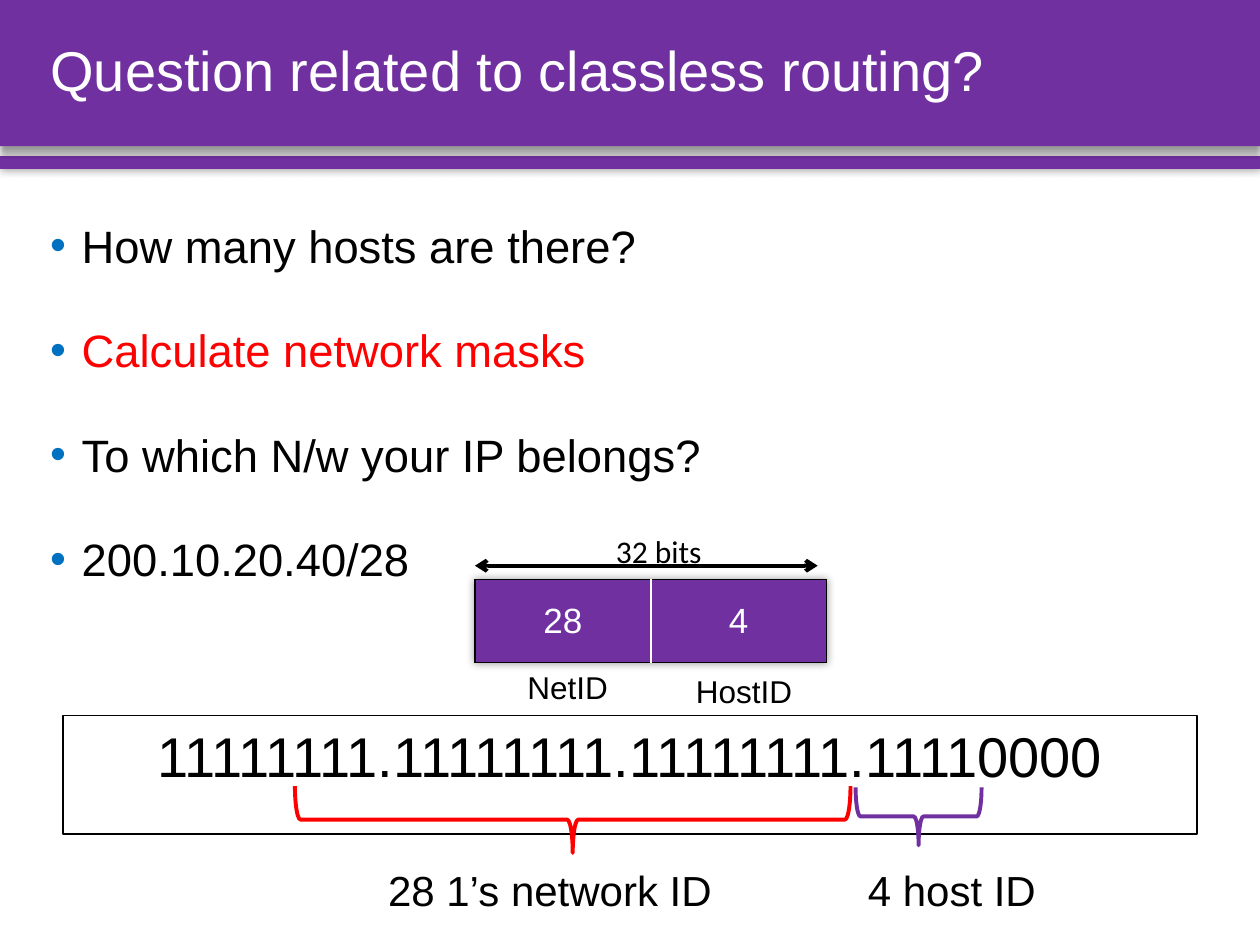
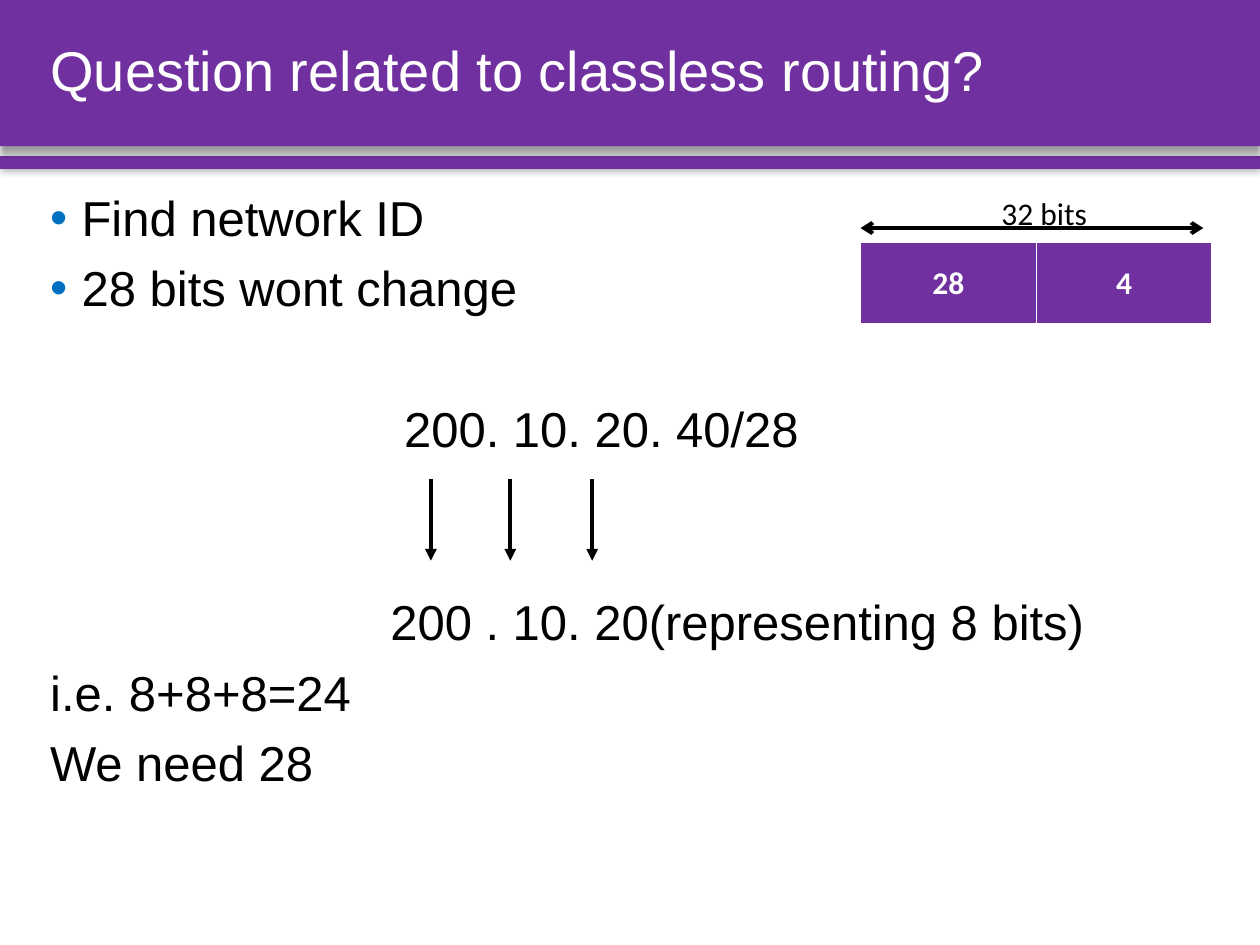
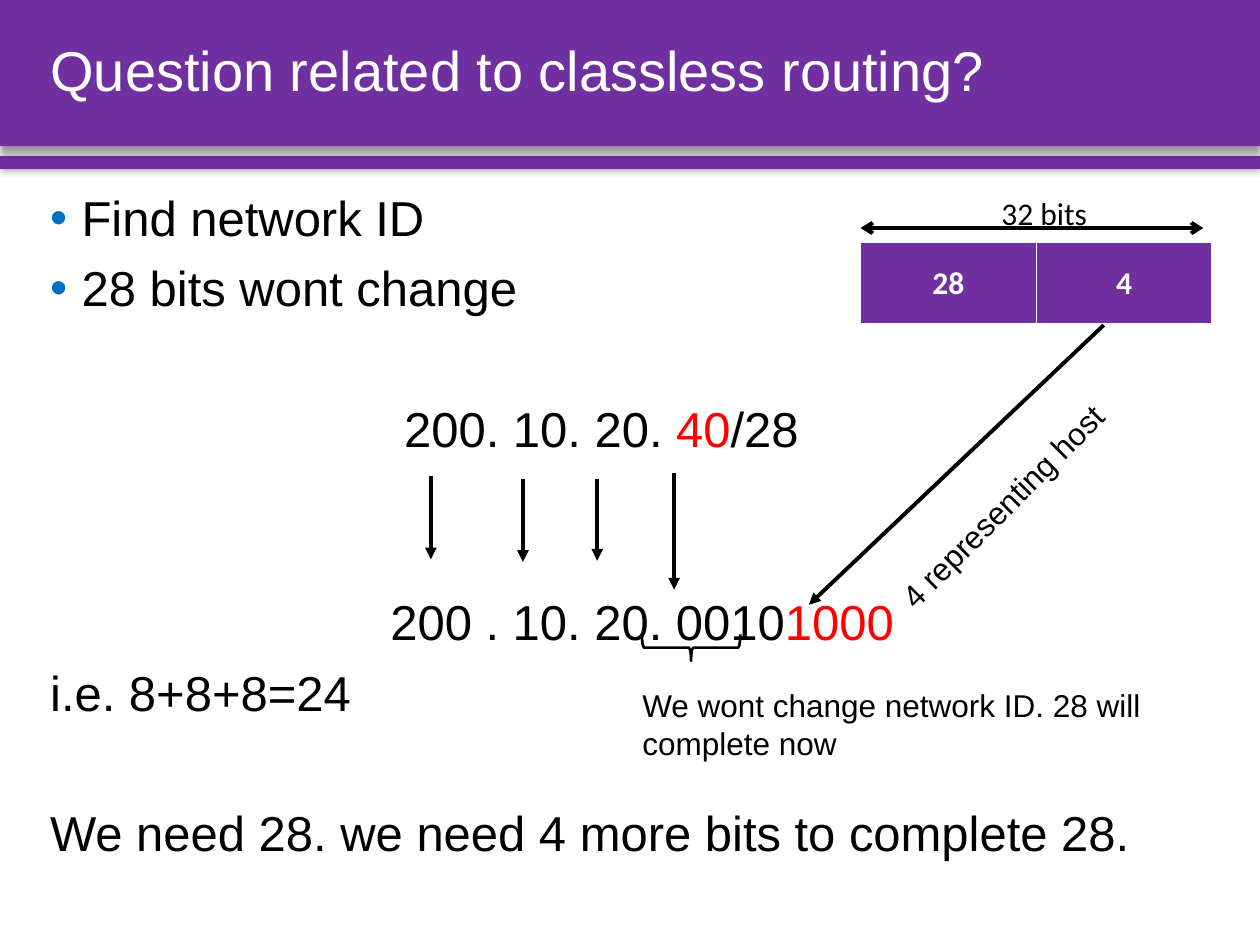
"""Build three slides on classless routing: masks, network ID and host bits."""
from lxml.etree import SubElement
from pptx import Presentation
from pptx.dml.color import RGBColor
from pptx.enum.shapes import MSO_CONNECTOR, MSO_SHAPE
from pptx.enum.text import MSO_ANCHOR, PP_ALIGN
from pptx.oxml.ns import qn
from pptx.util import Inches, Pt

WIDE, HIGH = 10, 7.5
PURPLE, BLUE, RED, BLACK, WHITE = "7030A0", "0070C0", "FF0000", "000000", "FFFFFF"
TITLE = "Question related to classless routing?"
BANDS = [(0, 1.16, 4, 3), (1.24, 0.1, 5, 0)]
MARK = 0.25
BITS = ["28", "4"]

# Text after a bar is red until the next bar; then left indent and space before.
ASKS = [
    ("How many hosts are there?", MARK, 0),
    ("|Calculate network masks", MARK, 10),
    ("To which N/w your IP belongs?", MARK, 10),
    ("200.10.20.40/28", MARK, 10),
]
FIND = [("Find network ID", MARK, 0), ("28 bits wont change", MARK, 10)]
STEPS = FIND + [
    ("200. 10. 20. 40/28", 2.81, 50),
    ("200 . 10. 20(representing 8 bits)", 2.7, 80.5),
    ("i.e. 8+8+8=24", 0, 10),
    ("We need 28", 0, 10),
]
SPLIT = FIND + [
    ("200. 10. 20. |40|/28", 2.81, 50),
    ("200 . 10. 20. 0010|1000", 2.7, 80.5),
    ("i.e. 8+8+8=24", 0, 10),
    ("We need 28. we need 4 more bits to complete 28.", 0, 50),
]
LABELS = [
    ("NetID", (3.85, 5.25, 1.31, 0.4), 18),
    ("HostID", (5.25, 5.28, 1.31, 0.4), 18),
    ("28 1’s network ID", (2.83, 6.83, 3.07, 0.46), 24),
    ("4 host ID", (6.74, 6.66, 1.63, 0.8), 24),
]
DROPS = [(3.42, 3.8, 4.45), (4.05, 3.8, 4.45), (4.7, 3.8, 4.45)]
FALLS = [(3.42, 3.78, 4.44), (4.15, 3.8, 4.46), (4.74, 3.8, 4.45), (5.35, 3.75, 4.68)]


def tint(code):
    return RGBColor.from_string(code)


def place(at):
    return [Inches(n) for n in at]


def style(font, size, color=BLACK, face="Arial", bold=False):
    font.size, font.name, font.bold = Pt(size), face, bold
    font.color.rgb = tint(color)


def node(parent, tag, **attrs):
    return SubElement(parent, qn("a:" + tag), attrs)


def solid(parent, color):
    return node(node(parent, "solidFill"), "srgbClr", val=color)


def shade(parent, blur, dist):
    glow = node(node(parent, "effectLst"), "outerShdw", blurRad=str(Pt(blur)),
                dist=str(Pt(dist)), dir="5400000", algn="ctr", rotWithShape="0")
    node(node(glow, "srgbClr", val=BLACK), "alpha", val="40000")


def band(slide, layout, top, high, blur, dist):
    bar = slide.shapes.add_shape(MSO_SHAPE.RECTANGLE, *place((0, top, WIDE, high)))
    bar.fill.solid()
    bar.fill.fore_color.rgb = tint(PURPLE)
    bar.line.fill.background()
    shade(bar.element.spPr, blur, dist)
    layout.shapes.element.insert(2, bar.element)


def head(deck, layout):
    slide = deck.slides.add_slide(layout)
    title = slide.shapes.title
    title.left, title.top, title.width, title.height = place((0.3, 0, 9.46, 1.16))
    frame = title.text_frame
    frame.text = TITLE
    frame.vertical_anchor = MSO_ANCHOR.MIDDLE
    line = frame.paragraphs[0]
    line.alignment, line.line_spacing = PP_ALIGN.LEFT, 0.9
    style(line.runs[0].font, 32, WHITE)
    return slide


def label(slide, text, at, size=18, face="Arial", align=PP_ALIGN.LEFT, turn=0):
    box = slide.shapes.add_textbox(*place(at))
    box.rotation = turn
    frame = box.text_frame
    frame.word_wrap = True
    frame.text = text
    frame.vertical_anchor = MSO_ANCHOR.MIDDLE
    line = frame.paragraphs[0]
    line.alignment = align
    style(line.runs[0].font, size, face=face)


def body(slide, lines, at, size, pitch, align=PP_ALIGN.LEFT):
    frame = slide.shapes.add_textbox(*place(at)).text_frame
    frame.word_wrap = True
    for k, (text, left, gap) in enumerate(lines):
        line = frame.add_paragraph() if k else frame.paragraphs[0]
        line.alignment, line.line_spacing, line.space_before = align, pitch, Pt(gap)
        props = line._p.get_or_add_pPr()
        props.set("marL", str(Inches(left)))
        if left == MARK:
            props.set("indent", str(-Inches(MARK)))
            node(node(props, "buClr"), "srgbClr", val=BLUE)
            node(props, "buFont", typeface="Arial")
            node(props, "buChar", char="•")
        for j, part in enumerate(text.split("|")):
            if part:
                run = line.add_run()
                run.text = part
                style(run.font, size, RED if j % 2 else BLACK)


def arrow(slide, start, end, head=None, tail="triangle"):
    line = slide.shapes.add_connector(MSO_CONNECTOR.STRAIGHT, *place(start + end))
    line.line.width = Pt(2.25)
    line.line.color.rgb = tint(BLACK)
    rule = line.line._get_or_add_ln()
    if head:
        node(rule, "headEnd", type=head)
    node(rule, "tailEnd", type=tail)
    node(line.element.spPr, "effectLst")


def outline(slide, kind, at, color, width, turn=0):
    shape = slide.shapes.add_shape(kind, *place(at))
    shape.shadow.inherit = False
    shape.fill.background()
    shape.line.color.rgb = tint(color)
    shape.line.width = Pt(width)
    shape.rotation = turn
    return shape


def strip(slide, left, top, framed=False):
    table = slide.shapes.add_table(1, 2, *place((left, top, 2.79, 0.66))).table
    if framed:
        props = table._tbl.tblPr
        shade(props, 5, 0)
        props.insert(0, props[-1])
    for k, bits in enumerate(BITS):
        cell = table.cell(0, k)
        cell.text = bits
        cell.vertical_anchor = MSO_ANCHOR.MIDDLE
        line = cell.text_frame.paragraphs[0]
        line.alignment = PP_ALIGN.CENTER
        if framed:
            style(line.runs[0].font, 20, WHITE)
        else:
            style(line.runs[0].font, 18, WHITE, "Calibri", True)
        props = cell._tc.get_or_add_tcPr()
        inner = "lnL" if k else "lnR"
        for side in ("lnL", "lnR", "lnT", "lnB"):
            width = 3 if side == "lnB" and not framed else 1
            edge = node(props, side, w=str(Pt(width)))
            solid(edge, BLACK if framed and side != inner else WHITE)
        cell.fill.solid()
        cell.fill.fore_color.rgb = tint(PURPLE)
    arrow(slide, (left, top - 0.11), (left + 2.72, top - 0.11), "arrow", "arrow")
    label(slide, "32 bits", (left + 1.02, top - 0.43, 1, 0.4), face="Calibri")


def masks(slide):
    body(slide, ASKS, (0.3, 1.42, 9.46, 3.27), 25.9, 1.6, PP_ALIGN.JUSTIFY)
    strip(slide, 3.77, 4.6, True)
    frame = outline(slide, MSO_SHAPE.RECTANGLE, (0.5, 5.68, 9, 0.94), BLACK, 0.75).text_frame
    frame.text = "11111111.11111111.11111111.11110000"
    frame.vertical_anchor = MSO_ANCHOR.TOP
    frame.paragraphs[0].alignment = PP_ALIGN.CENTER
    style(frame.paragraphs[0].runs[0].font, 32)
    outline(slide, MSO_SHAPE.RIGHT_BRACE, (4.28, 4.3, 0.53, 4.41), RED, 2.25, 90)
    outline(slide, MSO_SHAPE.RIGHT_BRACE, (7.06, 5.98, 0.46, 1), PURPLE, 2.25, 90)
    for text, at, size in LABELS:
        label(slide, text, at, size, align=PP_ALIGN.CENTER)


def network(slide, lines, drops):
    body(slide, lines, (0.3, 1.49, 9.46, 5.46), 28, 0.9)
    strip(slide, 6.83, 1.92)
    for x, top, end in drops:
        arrow(slide, (x, top), (x, end))


def hosts(slide):
    outline(slide, MSO_SHAPE.LEFT_BRACE, (5.38, 4.75, 0.21, 0.78), BLACK, 1.5, 270)
    label(slide, "We wont change network ID. 28 will complete now", (5, 5.39, 4.76, 0.71))
    arrow(slide, (8.76, 2.58), (6.42, 4.8))
    label(slide, "4 representing host", (6.71, 3.63, 2.86, 0.4), turn=315)


def main():
    deck = Presentation()
    deck.slide_width, deck.slide_height = place((WIDE, HIGH))
    layout = deck.slide_layouts[5]
    first, second, third = [head(deck, layout) for _ in range(3)]
    for spec in BANDS:
        band(first, layout, *spec)
    masks(first)
    network(second, STEPS, DROPS)
    network(third, SPLIT, FALLS)
    hosts(third)
    deck.save("out.pptx")


if __name__ == "__main__":
    main()
